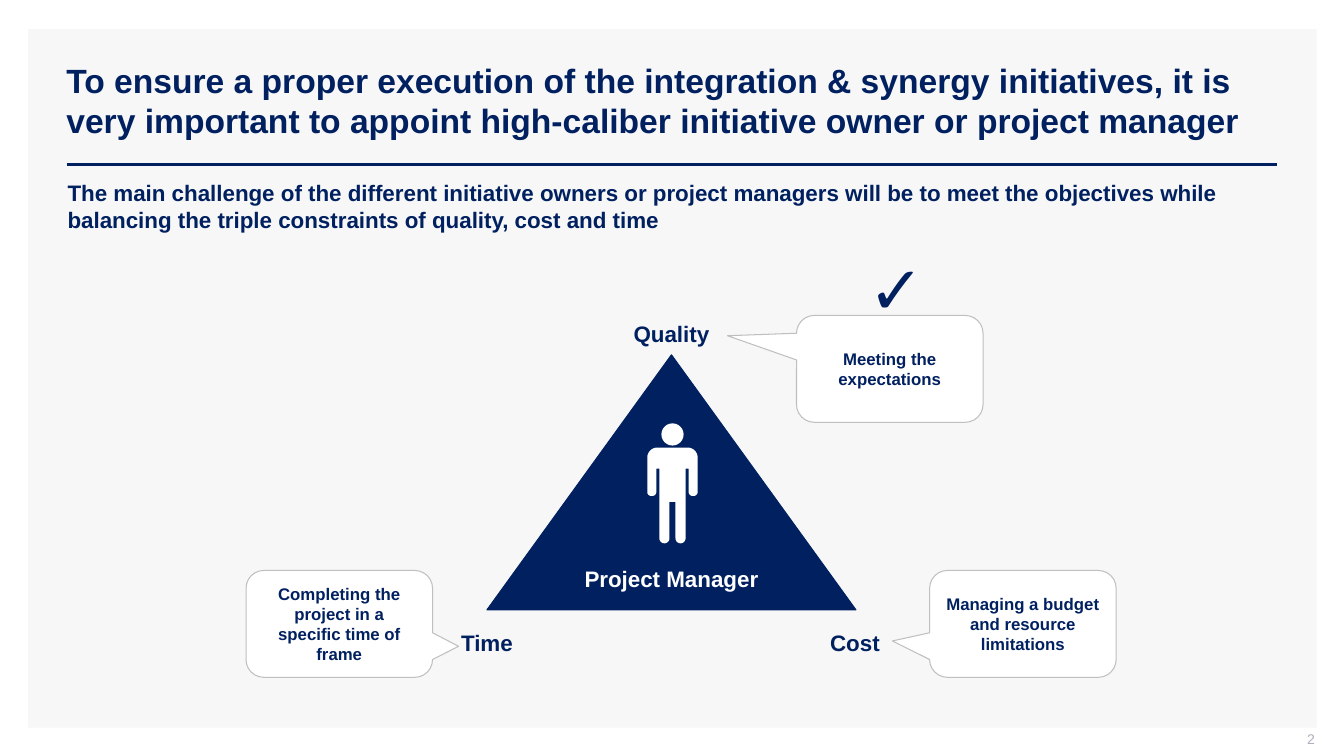
from dataclasses import dataclass
from math import cos, hypot, pi, sin

from lxml.etree import SubElement
from pptx import Presentation
from pptx.dml.color import RGBColor
from pptx.enum.shapes import MSO_CONNECTOR, MSO_SHAPE
from pptx.enum.text import MSO_ANCHOR, PP_ALIGN
from pptx.oxml.ns import qn
from pptx.util import Inches, Pt


@dataclass(frozen=True)
class Theme:
    font: str = "Arial"
    navy: str = "002060"
    white: str = "FFFFFF"
    panel: str = "F7F7F7"
    border: str = "BFBFBF"
    muted: str = "ADAFBB"
    title_size: int = 24
    label_size: int = 16
    callout_size: int = 12
    number_size: int = 10
    check_size: int = 48


class SlideBuilder:
    def __init__(self, slide, theme):
        self.slide = slide
        self.theme = theme

    def paint(self, shape, fill, line=None):
        shape.shadow.inherit = False
        shape.fill.solid()
        shape.fill.fore_color.rgb = RGBColor.from_string(fill)
        if line:
            shape.line.color.rgb = RGBColor.from_string(line)
            shape.line.width = Pt(0.75)
        else:
            shape.line.fill.background()

    def shape(self, kind, box, fill, line=None):
        shape = self.slide.shapes.add_shape(kind, *map(Inches, box))
        self.paint(shape, fill, line)
        return shape

    def set_text(self, shape, text, size, color, bold=True, align=PP_ALIGN.CENTER,
                 anchor=MSO_ANCHOR.MIDDLE, margins=(0.1, 0.05, 0.1, 0.05)):
        frame = shape.text_frame
        frame.text = text
        frame.word_wrap = True
        frame.vertical_anchor = anchor
        (frame.margin_left, frame.margin_top,
         frame.margin_right, frame.margin_bottom) = map(Inches, margins)
        paragraph = frame.paragraphs[0]
        paragraph.alignment = align
        font = paragraph.runs[0].font
        font.name = self.theme.font
        font.size = Pt(size)
        font.bold = bold
        font.color.rgb = RGBColor.from_string(color)

    def text(self, box, text, size, color, **style):
        shape = self.slide.shapes.add_textbox(*map(Inches, box))
        self.set_text(shape, text, size, color, **style)

    def label(self, center, top, text, color):
        width = 2.46
        self.text((center - width / 2, top, width, 0.37), text,
                  self.theme.label_size, color, anchor=MSO_ANCHOR.TOP)

    def callout(self, left, top, tip, text):
        shape = self.shape(MSO_SHAPE.ROUNDED_RECTANGULAR_CALLOUT,
                           (left, top, 1.85, 1.06), self.theme.white, self.theme.border)
        shape.adjustments[0], shape.adjustments[1] = tip
        self.set_text(shape, text, self.theme.callout_size, self.theme.navy)

    def rule(self, left, right, top):
        connector = self.slide.shapes.add_connector(
            MSO_CONNECTOR.STRAIGHT, Inches(left), Inches(top), Inches(right), Inches(top))
        connector.line.color.rgb = RGBColor.from_string(self.theme.navy)
        connector.line.width = Pt(2)
        SubElement(connector._element.spPr, qn("a:effectLst"))

    def rounded_outline(self, corners, fill, steps=8):
        points = []
        following = corners[1:] + corners[:1]
        for before, (x, y, radius), after in zip(corners[-1:] + corners, corners, following):
            if not radius:
                points.append((x, y))
                continue
            back = hypot(before[0] - x, before[1] - y)
            ahead = hypot(after[0] - x, after[1] - y)
            ux, uy = (before[0] - x) / back, (before[1] - y) / back
            vx, vy = (after[0] - x) / ahead, (after[1] - y) / ahead
            for step in range(steps + 1):
                angle = pi / 2 * step / steps
                u, v = radius * (1 - sin(angle)), radius * (1 - cos(angle))
                points.append((x + u * ux + v * vx, y + u * uy + v * vy))
        points = [(Inches(x), Inches(y)) for x, y in points]
        builder = self.slide.shapes.build_freeform(*points[0])
        builder.add_line_segments(points[1:], close=True)
        self.paint(builder.convert_to_shape(), fill)

    def person(self, center):
        half = [(0.25, 4.44, 0.1), (0.25, 4.92, 0.04), (0.16, 4.92, 0.04),
                (0.16, 4.65, 0), (0.13, 4.65, 0), (0.13, 5.39, 0.05),
                (0.03, 5.39, 0.05), (0.03, 4.98, 0)]
        right = [(center + x, y, radius) for x, y, radius in half]
        left = [(center - x, y, radius) for x, y, radius in reversed(half)]
        self.rounded_outline(right + left, self.theme.white)
        self.shape(MSO_SHAPE.OVAL, (center - 0.11, 4.2, 0.22, 0.22), self.theme.white)


def main():
    presentation = Presentation()
    presentation.slide_width = Inches(13.33)
    presentation.slide_height = Inches(7.5)
    theme = Theme()
    slide = presentation.slides.add_slide(presentation.slide_layouts[6])
    builder = SlideBuilder(slide, theme)
    center = 6.66

    builder.shape(MSO_SHAPE.RECTANGLE, (0.28, 0.29, 12.78, 6.93), theme.panel)
    builder.rule(0.66, 12.67, 1.63)
    builder.text((0.56, 0.4, 12.11, 1.19),
                 "To ensure a proper execution of the integration & synergy initiatives, it is "
                 "very important to appoint high-caliber initiative owner or project manager",
                 theme.title_size, theme.navy, align=PP_ALIGN.LEFT)
    builder.text((10.04, 7.25, 3, 0.21), "2", theme.number_size, theme.muted, bold=False,
                 align=PP_ALIGN.RIGHT, margins=(0.1, 0, 0, 0.05))
    builder.text((0.67, 1.78, 12, 0.54),
                 "The main challenge of the different initiative owners or project managers will "
                 "be to meet the objectives while balancing the triple constraints of quality, "
                 "cost and time",
                 theme.label_size, theme.navy, align=PP_ALIGN.LEFT,
                 anchor=MSO_ANCHOR.TOP, margins=(0, 0, 0, 0))

    builder.shape(MSO_SHAPE.ISOSCELES_TRIANGLE, (center - 1.83, 3.52, 3.66, 2.53),
                  theme.navy, theme.navy)
    builder.person(center + 0.01)
    builder.label(center, 5.56, "Project Manager", theme.white)
    for offset, top, text in ((0, 3.13, "Quality"), (1.82, 6.19, "Cost"),
                              (-1.83, 6.19, "Time")):
        builder.label(center + offset, top, text, theme.navy)

    for left, top, tip, text in (
            (7.9, 3.13, (-0.87, -0.31), "Meeting the expectations"),
            (9.22, 5.66, (-0.7, 0.16), "Managing a budget and resource limitations"),
            (2.44, 5.66, (0.64, 0.21), "Completing the project in a specific time of frame")):
        builder.callout(left, top, tip, text)
    builder.text((8.49, 2.5, 0.8, 0.7), "✓", theme.check_size, theme.navy, bold=False)

    presentation.save("out.pptx")


if __name__ == "__main__":
    main()
